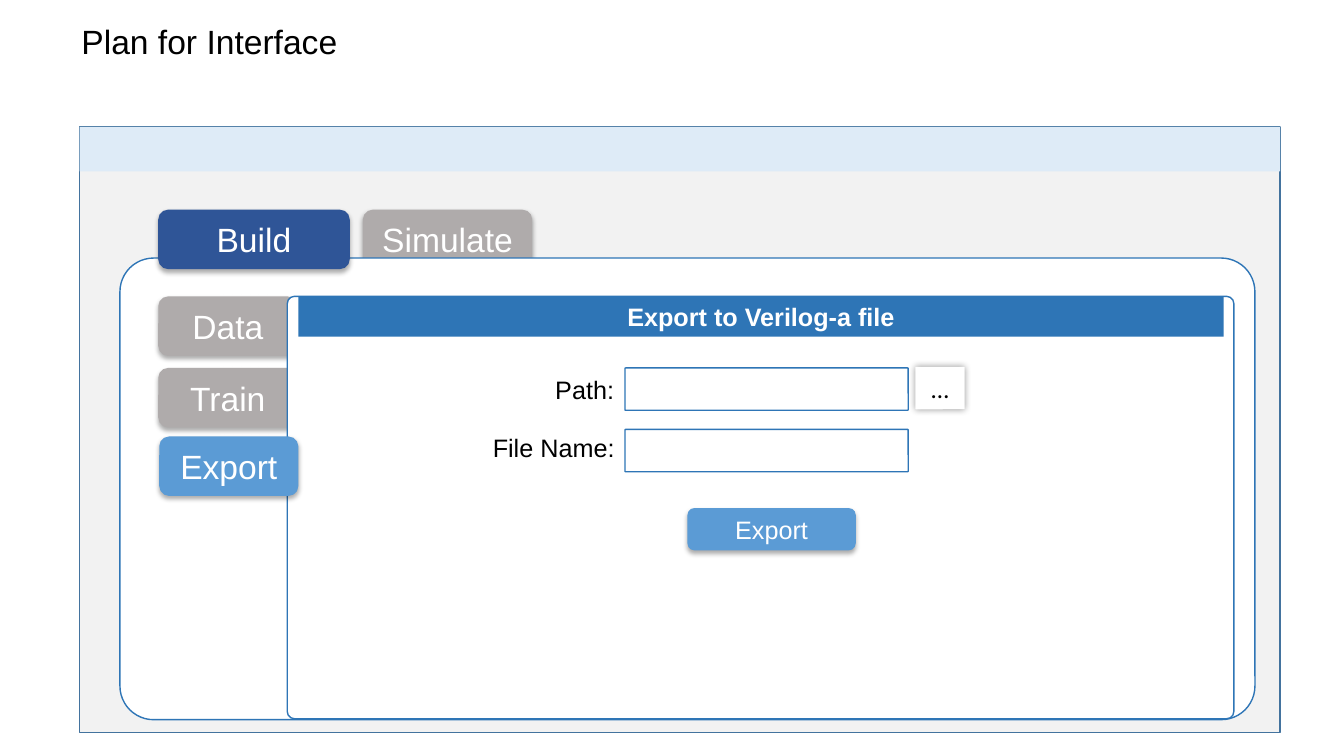
from dataclasses import dataclass
from typing import Optional

from lxml import etree
from pptx import Presentation
from pptx import util as u
from pptx.dml.color import RGBColor
from pptx.enum import shapes, text
from pptx.oxml import ns

CELL = u.Inches(0.1)
COLS, ROWS = 133.33, 75


@dataclass(frozen=True)
class Theme:
    white: str = "FFFFFF"
    black: str = "000000"
    page: str = "F2F2F2"
    frame: str = "43739E"
    strip: str = "DEEBF7"
    edge: str = "2E75B6"
    gray: str = "AFABAB"
    navy: str = "2F5597"
    blue: str = "5B9BD5"
    big: int = 24
    small: int = 18
    sans: str = "Arial"
    dots: str = "Calibri"


@dataclass(frozen=True)
class Area:
    col: float
    row: float
    wide: float
    high: float


@dataclass(frozen=True)
class Shade:
    alpha: int
    blur: float
    dist: float
    angle: int


@dataclass(frozen=True)
class Tab:
    label: str
    area: Area
    fill: str
    size: int


@dataclass(frozen=True)
class Field:
    label: str
    col: float
    wide: float
    top: float
    row: float


T = Theme()
DROP = Shade(32, 3.5, 2.2, 90)
GLOW = Shade(40, 5, 0, 0)
RECT = shapes.MSO_SHAPE.RECTANGLE
ROUND = shapes.MSO_SHAPE.ROUNDED_RECTANGLE
MID = text.PP_ALIGN.CENTER

deck = Presentation()
deck.slide_width = int(COLS * CELL)
deck.slide_height = ROWS * CELL
slide = deck.slides.add_slide(deck.slide_layouts[6])


def place(area: Area) -> tuple:
    return tuple(int(n * CELL) for n in (area.col, area.row, area.wide, area.high))


def write(shape, words: str, *, size: int, color: str, font: str = T.sans,
          bold: bool = False, align=None, anchor=text.MSO_ANCHOR.MIDDLE,
          wrap: bool = True) -> None:
    frame = shape.text_frame
    frame.word_wrap = wrap
    frame.vertical_anchor = anchor
    para = frame.paragraphs[0]
    para.alignment = align
    run = para.add_run()
    run.text = words
    run.font.size = u.Pt(size)
    run.font.name = font
    run.font.bold = bold
    run.font.color.rgb = RGBColor.from_string(color)


def cast(shape, shade: Shade) -> None:
    effects = shape.element.spPr.find(ns.qn("a:effectLst"))
    outer = etree.SubElement(
        effects, ns.qn("a:outerShdw"), blurRad=str(u.Pt(shade.blur)),
        dist=str(u.Pt(shade.dist)), dir=str(shade.angle * 60000),
        algn="ctr", rotWithShape="0")
    color = etree.SubElement(outer, ns.qn("a:srgbClr"), val=T.black)
    etree.SubElement(color, ns.qn("a:alpha"), val=str(shade.alpha * 1000))


def block(area: Area, fill: str, kind=ROUND, line: Optional[str] = None,
          bend: Optional[float] = None, shade: Optional[Shade] = None):
    shape = slide.shapes.add_shape(kind, *place(area))
    shape.fill.solid()
    shape.fill.fore_color.rgb = RGBColor.from_string(fill)
    if line:
        shape.line.color.rgb = RGBColor.from_string(line)
        shape.line.width = u.Pt(1)
    else:
        shape.line.fill.background()
    if bend is not None:
        shape.adjustments[0] = bend
    shape.shadow.inherit = False
    if shade:
        cast(shape, shade)
    return shape


def label(area: Area, words: str, size: int) -> None:
    box = slide.shapes.add_textbox(*place(area))
    write(box, words, size=size, color=T.black, wrap=False,
          anchor=text.MSO_ANCHOR.TOP)


def button(tab: Tab) -> None:
    shape = block(tab.area, tab.fill, shade=DROP)
    write(shape, tab.label, size=tab.size, color=T.white, align=MID)


def entry(field: Field) -> None:
    label(Area(field.col, field.top, field.wide, 4), field.label, T.small)
    block(Area(62, field.row, 28.1, 4.2), T.white, line=T.edge, bend=0.017)


def main() -> None:
    block(Area(7.9, 12.6, 119.1, 60.1), T.page, kind=RECT, line=T.frame)
    block(Area(7.9, 12.6, 119.1, 4.4), T.strip, kind=RECT)
    label(Area(7.1, 1.6, 28.6, 5), "Plan for Interface", T.big)

    button(Tab("Simulate", Area(36, 20.8, 16.8, 5.9), T.gray, T.big))
    block(Area(11.9, 25.6, 112.6, 45.8), T.white, line=T.edge, bend=0.073)
    button(Tab("Build", Area(15.7, 20.8, 19, 5.9), T.navy, T.big))
    for step, name in enumerate(("Data", "Train")):
        area = Area(15.7, 29.4 + 7.1 * step, 13.8, 5.9)
        button(Tab(name, area, T.gray, T.big))

    block(Area(28.5, 29.4, 93.9, 41.9), T.white, line=T.edge, bend=0.017)
    button(Tab("Export", Area(15.8, 43.3, 13.8, 5.9), T.blue, T.big))
    head = block(Area(29.6, 29.4, 91.8, 4), T.edge, kind=RECT)
    write(head, "Export to Verilog-a file", size=T.small, color=T.white,
          bold=True, align=MID, anchor=text.MSO_ANCHOR.TOP)

    for field in (Field("Path:", 54.1, 7.9, 36.6, 36.5),
                  Field("File Name:", 47.9, 14.2, 42.4, 42.6)):
        entry(field)
    button(Tab("Export", Area(68.2, 50.4, 16.7, 4.2), T.blue, T.small))
    more = block(Area(90.8, 36.4, 4.9, 4.2), T.white, bend=0.017, shade=GLOW)
    write(more, "…", size=T.small, color=T.black, font=T.dots, align=MID)

    deck.save("out.pptx")


if __name__ == "__main__":
    main()
